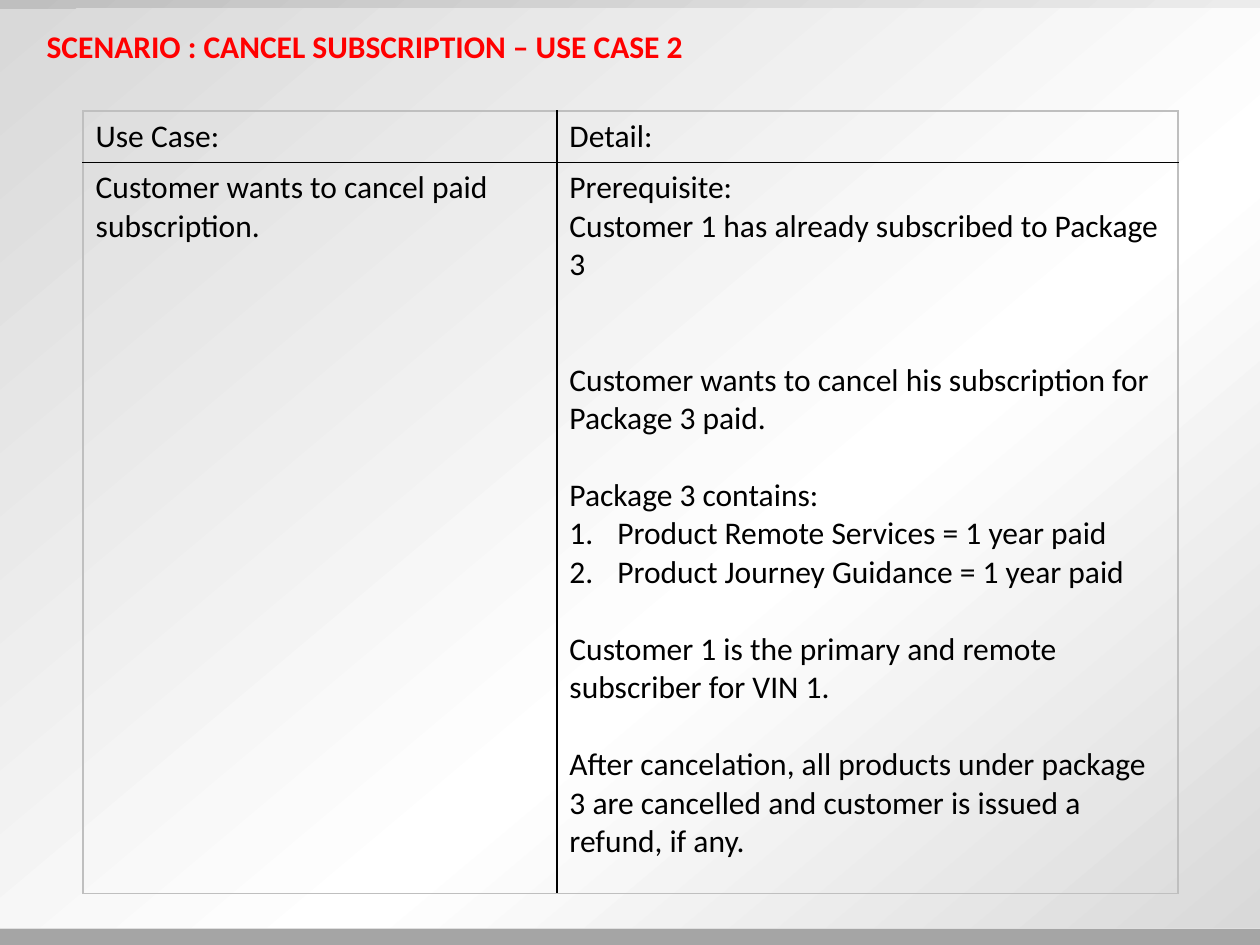
from copy import deepcopy

from lxml import etree
from pptx import Presentation
from pptx.dml.color import RGBColor
from pptx.enum import shapes, text
from pptx.oxml.ns import qn
from pptx.util import Inches, Pt

FONT = "Calibri"
LINE = 22
DETAILS = [
    ("Prerequisite:", 0, False),
    ("Customer 1 has already subscribed to Package 3", 0, False),
    ("Customer wants to cancel his subscription for Package 3 paid.", 2, False),
    ("Package 3 contains:", 1, False),
    ("Product Remote Services = 1 year paid", 0, True),
    ("Product Journey Guidance = 1 year paid", 0, True),
    ("Customer 1 is the primary and remote subscriber for VIN 1.", 1, False),
    ("After cancelation, all products under package 3 are cancelled "
     "and customer is issued a refund, if any.", 1, False),
]


def rgb(value):
    """Turn a hex string into a colour."""
    return RGBColor.from_string(value)


def format_paragraph(paragraph, color, bold=False):
    """Give every run of a paragraph the slide's type style."""
    for run in paragraph.runs:
        run.font.name, run.font.size, run.font.bold = FONT, Pt(18), bold
        run.font.color.rgb = rgb(color)


def add_panel(slide, left, top, width, height):
    """Add a rectangle without line or shadow."""
    panel = slide.shapes.add_shape(
        shapes.MSO_SHAPE.RECTANGLE, Inches(left), Inches(top), Inches(width), Inches(height))
    panel.shadow.inherit = False
    panel.line.fill.background()
    return panel


def shade(panel, edge, middle):
    """Fill a panel with a diagonal gradient that is darker at both ends."""
    panel.fill.gradient()
    panel.fill.gradient_angle = 310
    stops = next(panel.element.iter(qn("a:gsLst")))
    stops.insert(1, deepcopy(stops[0]))
    for stop, position, color in zip(
            panel.fill.gradient_stops, (0, 0.61, 1), (edge, middle, edge)):
        stop.position = position
        stop.color.rgb = rgb(color)


def add_background(slide, width, height):
    """Draw the shaded backdrop and the footer bar."""
    band = 0.14
    shade(add_panel(slide, 0, 0, width, height - band), "BFBFBF", "F2F2F2")
    shade(add_panel(slide, 0, band / 2, width, height - 1.5 * band), "D9D9D9", "FFFFFF")
    footer = add_panel(slide, 0, height - band + 0.01, width, band)
    footer.fill.solid()
    footer.fill.fore_color.rgb = rgb("A5A5A5")


def place_title(slide, left, top, width, height):
    """Move the title in front of the backdrop and format it."""
    title = slide.shapes.title
    title.element.getparent().append(title.element)
    title.left, title.top = Inches(left), Inches(top)
    title.width, title.height = Inches(width), Inches(height)
    frame = title.text_frame
    frame.text = "SCENARIO : CANCEL SUBSCRIPTION – USE CASE 2"
    frame.word_wrap = True
    frame.vertical_anchor = text.MSO_ANCHOR.MIDDLE
    frame.margin_left = frame.margin_right = Inches(0.12)
    frame.margin_top = frame.margin_bottom = 0
    frame.paragraphs[0].alignment = text.PP_ALIGN.LEFT
    format_paragraph(frame.paragraphs[0], "FF0000", True)


def set_borders(cell, row, column):
    """Rule a cell of the two-by-two table: black inside, grey outside."""
    properties = cell._tc.get_or_add_tcPr()
    inner = {"L": column == 1, "R": column == 0, "T": row == 1, "B": row == 0}
    for index, (side, is_inner) in enumerate(inner.items()):
        line = etree.Element(qn("a:ln" + side), w=str(Pt(1)))
        fill = etree.SubElement(line, qn("a:solidFill"))
        etree.SubElement(fill, qn("a:srgbClr"), val="000000" if is_inner else "BFBFBF")
        properties.insert(index, line)


def number_paragraph(paragraph):
    """Make a paragraph a numbered item with a hanging indent."""
    properties = paragraph._p.get_or_add_pPr()
    properties.set("marL", str(Inches(0.38)))
    properties.set("indent", str(-Inches(0.38)))
    etree.SubElement(properties, qn("a:buFont"), typeface="+mj-lt")
    etree.SubElement(properties, qn("a:buAutoNum"), type="arabicPeriod")


def fill_cell(cell, items):
    """Write paragraphs given as text, blank lines before and numbering."""
    frame = cell.text_frame
    frame.text = "\n".join(item[0] for item in items)
    for paragraph, (_, gap, numbered) in zip(frame.paragraphs, items):
        if gap:
            paragraph.space_before = Pt(gap * LINE)
        if numbered:
            number_paragraph(paragraph)
        format_paragraph(paragraph, "000000")


def add_use_case_table(slide, left, top, widths, heights):
    """Build the table of the use case and its detail."""
    table = slide.shapes.add_table(
        2, 2, Inches(left), Inches(top), Inches(sum(widths)), Inches(sum(heights))).table
    table.first_row = table.horz_banding = False
    for column, width in zip(table.columns, widths):
        column.width = Inches(width)
    for row, height in zip(table.rows, heights):
        row.height = Inches(height)
    contents = [
        [[("Use Case:", 0, False)], [("Detail:", 0, False)]],
        [[("Customer wants to cancel paid subscription.", 0, False)], DETAILS],
    ]
    for row, cells in enumerate(contents):
        for column, items in enumerate(cells):
            cell = table.cell(row, column)
            cell.fill.background()
            set_borders(cell, row, column)
            fill_cell(cell, items)


def main():
    """Build and save the slide."""
    presentation = Presentation()
    presentation.slide_width, presentation.slide_height = Inches(10), Inches(7.5)
    slide = presentation.slides.add_slide(presentation.slide_layouts[5])
    add_background(slide, 10.02, 7.5)
    place_title(slide, 0.25, 0.01, 8.68, 0.71)
    add_use_case_table(slide, 0.66, 0.88, (3.76, 4.93), (0.41, 5.8))
    presentation.save("out.pptx")


if __name__ == "__main__":
    main()
